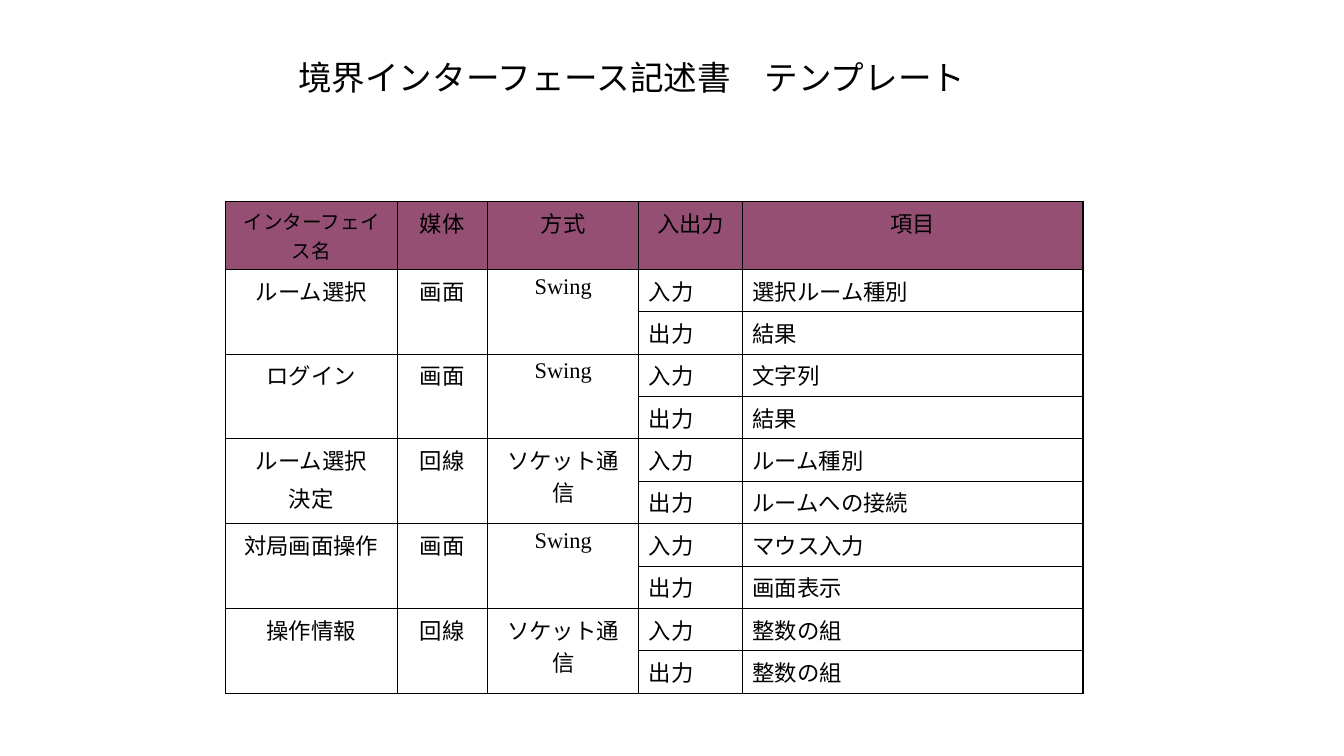
"""Builds the boundary interface description slide with its interface table."""
from dataclasses import dataclass

from lxml.etree import SubElement
from pptx import Presentation
from pptx.dml.color import RGBColor
from pptx.enum.text import MSO_ANCHOR, MSO_AUTO_SIZE, PP_ALIGN
from pptx.oxml.ns import qn
from pptx.slide import Slide
from pptx.table import _Cell
from pptx.text.text import _Paragraph
from pptx.util import Inches, Pt


@dataclass(frozen=True)
class Theme:
    ink: str = "000000"
    header_fill: str = "954F72"
    latin_font: str = "Times New Roman"
    asian_font: str = "Noto Sans CJK JP"
    title_size: float = 24
    body_size: float = 16
    small_size: float = 14
    inner_line: float = 0.45
    outer_line: float = 1.08


@dataclass(frozen=True)
class Interface:
    name: str
    medium: str
    method: str
    input_item: str
    output_item: str


THEME = Theme()
TITLE = "境界インターフェース記述書　テンプレート"
HEADERS = ("インターフェイス名", "媒体", "方式", "入出力", "項目")
COLUMN_WIDTHS = (1.7, 0.9, 1.5, 1.03, 3.38)
HEADER_HEIGHT, ROW_HEIGHT = 0.67, 0.42
INTERFACES = (
    Interface("ルーム選択", "画面", "Swing", "選択ルーム種別", "結果"),
    Interface("ログイン", "画面", "Swing", "文字列", "結果"),
    Interface("ルーム選択\n決定", "回線", "ソケット通信", "ルーム種別", "ルームへの接続"),
    Interface("対局画面操作", "画面", "Swing", "マウス入力", "画面表示"),
    Interface("操作情報", "回線", "ソケット通信", "整数の組", "整数の組"),
)


def format_paragraph(paragraph: _Paragraph, size: float, latin_font: str, **layout) -> None:
    for attribute, value in layout.items():
        setattr(paragraph, attribute, value)
    for run in paragraph.runs:
        for attribute, value in {"size": Pt(size), "name": latin_font, "bold": False}.items():
            setattr(run.font, attribute, value)
        run.font.color.rgb = RGBColor.from_string(THEME.ink)
        SubElement(run.font._element, qn("a:ea"), typeface=THEME.asian_font)


def write_cell(cell: _Cell, text: str, alignment: PP_ALIGN, size: float = THEME.body_size) -> None:
    cell.text = text
    for paragraph in cell.text_frame.paragraphs:
        format_paragraph(paragraph, size, THEME.latin_font, alignment=alignment,
                         space_before=Pt(size / 4))


def draw_borders(cell: _Cell, outer_sides: set[str]) -> None:
    properties = cell._tc.get_or_add_tcPr()
    for position, side in enumerate("LRTB"):
        width = THEME.outer_line if side in outer_sides else THEME.inner_line
        line = SubElement(properties, qn(f"a:ln{side}"), w=str(Pt(width)))
        fill = SubElement(line, qn("a:solidFill"))
        SubElement(fill, qn("a:srgbClr"), val=THEME.ink)
        properties.insert(position, line)


def add_title(slide: Slide) -> None:
    title = slide.shapes.title
    box = {"left": 2.86, "top": 0.56, "width": 8.5, "height": 0.48}
    for attribute, value in box.items():
        setattr(title, attribute, Inches(value))
    frame = title.text_frame
    frame.text = TITLE
    settings = {"word_wrap": True, "auto_size": MSO_AUTO_SIZE.NONE,
                "vertical_anchor": MSO_ANCHOR.TOP}
    for attribute, value in settings.items():
        setattr(frame, attribute, value)
    format_paragraph(frame.paragraphs[0], THEME.title_size, THEME.asian_font,
                     alignment=PP_ALIGN.LEFT, line_spacing=0.9, space_before=Pt(0))


def add_interface_table(slide: Slide) -> None:
    row_count = 1 + 2 * len(INTERFACES)
    height = HEADER_HEIGHT + (row_count - 1) * ROW_HEIGHT
    table = slide.shapes.add_table(row_count, len(HEADERS), Inches(2.24), Inches(2),
                                   Inches(sum(COLUMN_WIDTHS)), Inches(height)).table
    table.first_row = table.horz_banding = False
    for column, width in zip(table.columns, COLUMN_WIDTHS):
        column.width = Inches(width)
    for index, row in enumerate(table.rows):
        row.height = Inches(ROW_HEIGHT if index else HEADER_HEIGHT)
        for column_index, cell in enumerate(row.cells):
            if index:
                cell.fill.background()
            else:
                cell.fill.solid()
                cell.fill.fore_color.rgb = RGBColor.from_string(THEME.header_fill)
            edges = {"L": column_index == 0, "T": index == 0,
                     "R": column_index == len(HEADERS) - 1}
            draw_borders(cell, {side for side, is_outer in edges.items() if is_outer})

    for column_index, header in enumerate(HEADERS):
        size = THEME.body_size if column_index else THEME.small_size
        write_cell(table.cell(0, column_index), header, PP_ALIGN.CENTER, size)
    for index, interface in enumerate(INTERFACES):
        top = 1 + 2 * index
        for column_index, text in enumerate((interface.name, interface.medium, interface.method)):
            cell = table.cell(top, column_index)
            cell.merge(table.cell(top + 1, column_index))
            write_cell(cell, text, PP_ALIGN.CENTER)
        directions = (("入力", interface.input_item), ("出力", interface.output_item))
        for offset, texts in enumerate(directions):
            for column_index, text in enumerate(texts, start=3):
                write_cell(table.cell(top + offset, column_index), text, PP_ALIGN.LEFT)


def main() -> None:
    presentation = Presentation()
    presentation.slide_width, presentation.slide_height = Inches(13.34), Inches(7.5)
    slide = presentation.slides.add_slide(presentation.slide_layouts[5])
    add_title(slide)
    add_interface_table(slide)
    presentation.save("out.pptx")


if __name__ == "__main__":
    main()
